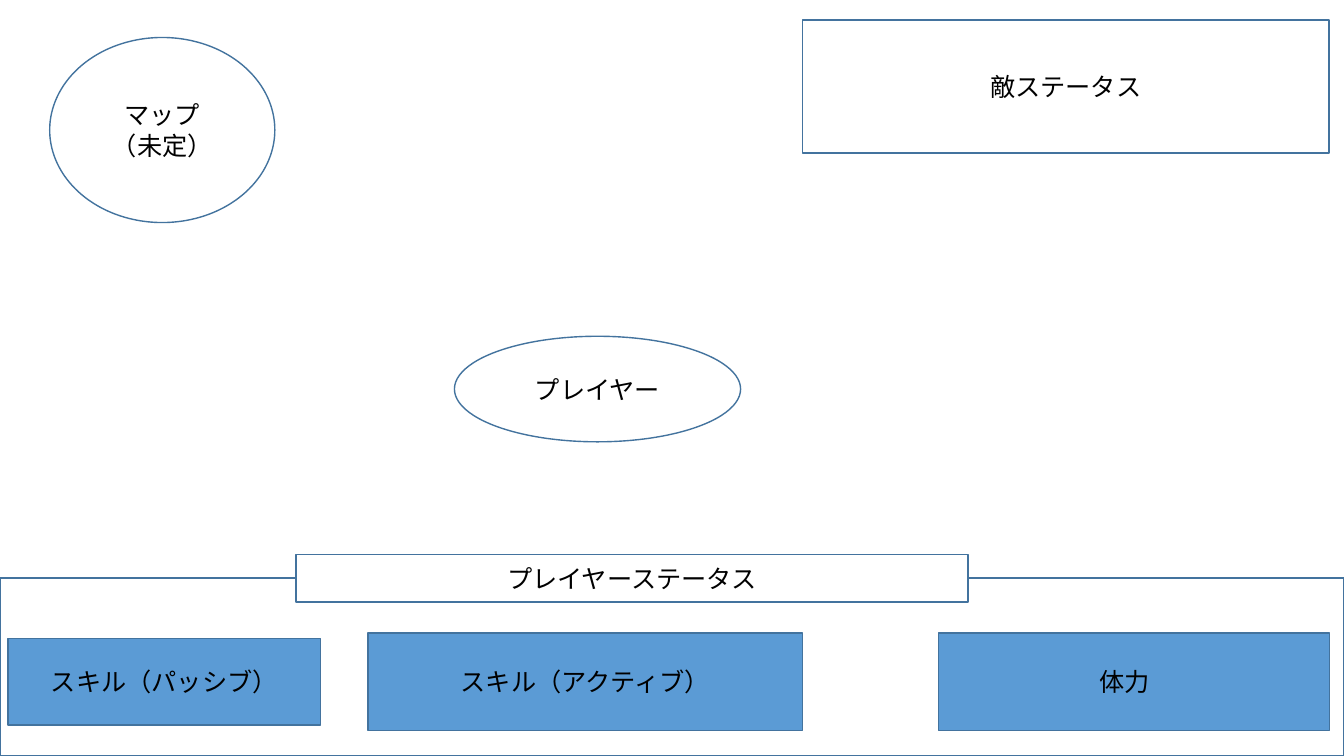
from dataclasses import dataclass

from lxml.etree import SubElement
from pptx import Presentation
from pptx.dml.color import RGBColor
from pptx.enum.shapes import MSO_SHAPE
from pptx.enum.text import MSO_ANCHOR, MSO_AUTO_SIZE, PP_ALIGN
from pptx.oxml.ns import qn
from pptx.util import Pt


@dataclass(frozen=True)
class Theme:
    font: str = "Noto Sans CJK JP"
    size: int = 18
    outline_width: int = 1
    text: RGBColor = RGBColor(0x00, 0x00, 0x00)
    outline: RGBColor = RGBColor(0x43, 0x73, 0x9E)
    white: RGBColor = RGBColor(0xFF, 0xFF, 0xFF)
    blue: RGBColor = RGBColor(0x5B, 0x9B, 0xD5)


theme = Theme()


def write_lines(text_frame, lines):
    for index, line in enumerate(lines):
        paragraph = text_frame.paragraphs[0] if index == 0 else text_frame.add_paragraph()
        paragraph.alignment = PP_ALIGN.CENTER
        run = paragraph.add_run()
        run.text = line
        run.font.size = Pt(theme.size)
        run.font.color.rgb = theme.text
        run.font.name = theme.font
        # Japanese glyphs take the East Asian typeface
        SubElement(run._r.get_or_add_rPr(), qn("a:ea"), typeface=theme.font)


def add_panel(slide, kind, box, fill, lines):
    shape = slide.shapes.add_shape(kind, *map(Pt, box))
    shape.shadow.inherit = False
    if fill is None:
        shape.fill.background()
    else:
        shape.fill.solid()
        shape.fill.fore_color.rgb = fill
    shape.line.color.rgb = theme.outline
    shape.line.width = Pt(theme.outline_width)
    shape.text_frame.word_wrap = True
    shape.text_frame.vertical_anchor = MSO_ANCHOR.MIDDLE
    write_lines(shape.text_frame, lines)


presentation = Presentation()
presentation.slide_width = Pt(960)
presentation.slide_height = Pt(540)
slide = presentation.slides.add_slide(presentation.slide_layouts[6])

# Screen areas, back to front: kind, (left, top, width, height), fill, lines
oval, rectangle = MSO_SHAPE.OVAL, MSO_SHAPE.RECTANGLE
panels = [
    (oval, (324.6, 240.2, 204.4, 75.4), theme.white, ["プレイヤー"]),
    (rectangle, (670.2, 452, 279.6, 69.6), theme.blue, []),
    (rectangle, (263, 452, 310.2, 69.6), theme.blue, ["スキル（アクティブ）"]),
    (rectangle, (5.6, 456.2, 223.4, 61.6), theme.blue, ["スキル（パッシブ）"]),
    (oval, (35.5, 26.8, 160.8, 132.2), theme.white, ["マップ", "（未定）"]),
    (rectangle, (573.2, 14.4, 376.2, 95), theme.white, ["敵ステータス"]),
    (rectangle, (0, 413, 960, 127), None, []),
    (rectangle, (211.5, 396, 480, 34), theme.white, ["プレイヤーステータス"]),
]
for kind, box, fill, lines in panels:
    add_panel(slide, kind, box, fill, lines)

# Health label, set slightly left of its panel's centre
health_label = slide.shapes.add_textbox(Pt(691.2), Pt(472.3), Pt(224), Pt(29))
health_label.text_frame.word_wrap = True
health_label.text_frame.auto_size = MSO_AUTO_SIZE.SHAPE_TO_FIT_TEXT
write_lines(health_label.text_frame, ["体力"])

presentation.save("out.pptx")
